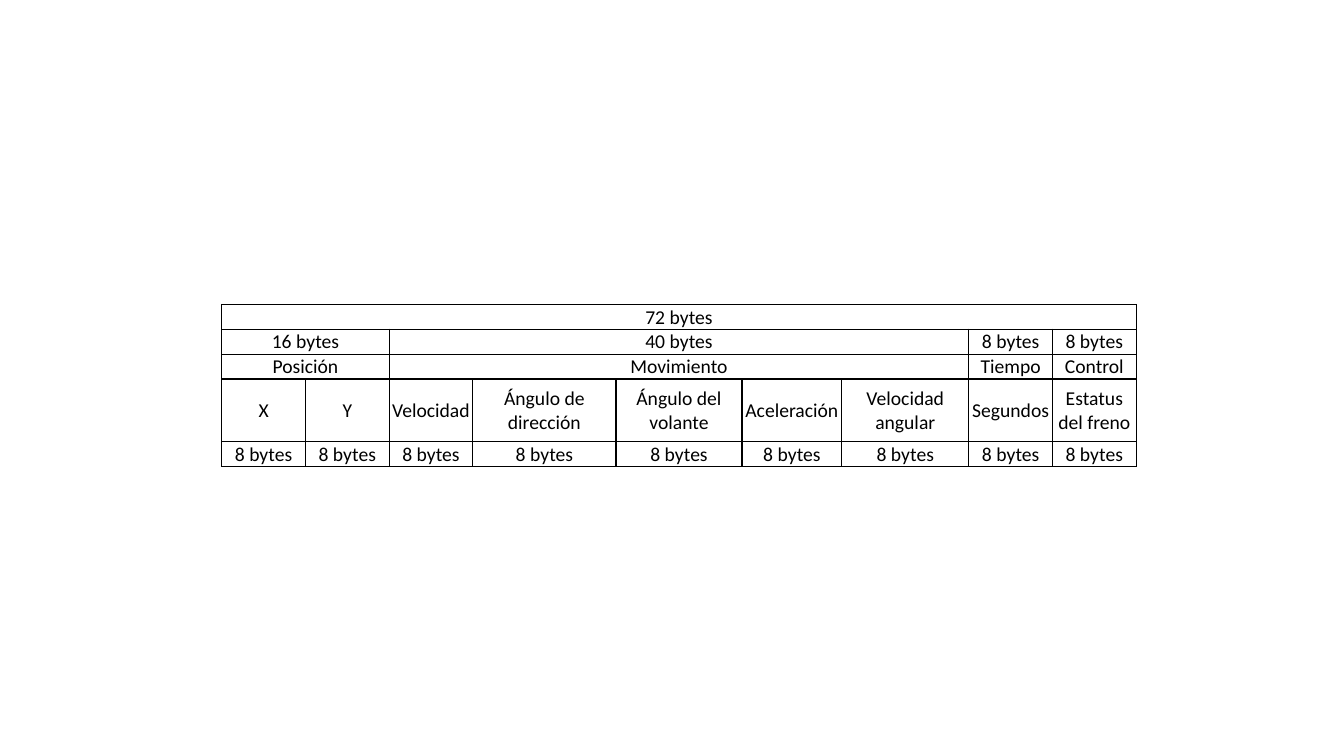
from lxml.etree import SubElement
from pptx import Presentation
from pptx.dml.color import RGBColor as RGB
from pptx.enum.text import MSO_ANCHOR as ANCHOR, PP_ALIGN as ALIGN
from pptx.oxml.ns import qn
from pptx.util import Inches, Pt

FIELD = "8 bytes"
# Each row lists (text, columns covered)
ROWS = [
    [("72 bytes", 9)],
    [("16 bytes", 2), ("40 bytes", 5), (FIELD, 1), (FIELD, 1)],
    [("Posición", 2), ("Movimiento", 5), ("Tiempo", 1), ("Control", 1)],
    [(name, 1) for name in (
        "X", "Y", "Velocidad", "Ángulo de dirección", "Ángulo del volante",
        "Aceleración", "Velocidad angular", "Segundos", "Estatus del freno")],
    [(FIELD, 1)] * 9,
]
COLORS = {"ink": "000000", "paper": "FFFFFF"}
COL_WIDTHS = [0.83, 0.83, 0.83, 1.42, 1.25, 0.99, 1.26, 0.83, 0.83]
ROW_HEIGHTS = [0.21, 0.21, 0.21, 0.62, 0.21]
LEFT, TOP = 2.2, 3.02
CELL_FORMAT = {
    "margin_left": Inches(0.01), "margin_right": Inches(0.01),
    "margin_top": Inches(0.01), "margin_bottom": 0,
    "vertical_anchor": ANCHOR.MIDDLE,
}
FONT_FORMAT = {"name": "Calibri", "size": Pt(14), "bold": False}


def set_format(obj, values):
    """Set each named attribute on obj."""
    for name, value in values.items():
        setattr(obj, name, value)


def add_borders(cell):
    """Draw a thin line on the four sides of a cell."""
    tc_pr = cell._tc.get_or_add_tcPr()
    for side in ("lnL", "lnR", "lnT", "lnB"):
        ln = SubElement(tc_pr, qn(f"a:{side}"), w=str(Pt(1)))
        fill = SubElement(ln, qn("a:solidFill"))
        SubElement(fill, qn("a:srgbClr"), val=COLORS["ink"])


def style_cell(cell):
    """Give a cell its margins, borders and fill."""
    set_format(cell, CELL_FORMAT)
    add_borders(cell)
    cell.fill.solid()
    cell.fill.fore_color.rgb = RGB.from_string(COLORS["paper"])


def write_cell(cell, text):
    """Write centred text into a cell."""
    p = cell.text_frame.paragraphs[0]
    p.alignment = ALIGN.CENTER
    r = p.add_run()
    r.text = text
    set_format(r.font, FONT_FORMAT)
    r.font.color.rgb = RGB.from_string(COLORS["ink"])


def add_message_table(slide):
    """Add the table of message fields and their sizes."""
    frame = slide.shapes.add_table(
        len(ROWS), len(COL_WIDTHS), Inches(LEFT), Inches(TOP),
        Inches(sum(COL_WIDTHS)), Inches(sum(ROW_HEIGHTS)))
    table = frame.table
    set_format(table, {"first_row": False, "horz_banding": False})
    for column, width in zip(table.columns, COL_WIDTHS):
        column.width = Inches(width)
    for row, height in zip(table.rows, ROW_HEIGHTS):
        row.height = Inches(height)
    for cell in table.iter_cells():
        style_cell(cell)
    for i, fields in enumerate(ROWS):
        col = 0
        for text, span in fields:
            cell = table.cell(i, col)
            if span > 1:
                cell.merge(table.cell(i, col + span - 1))
            if i < 2 and span > 1:
                cell.vertical_anchor = ANCHOR.BOTTOM
            write_cell(cell, text)
            col += span


prs = Presentation()
prs.slide_width, prs.slide_height = Inches(13.33), Inches(7.5)
add_message_table(prs.slides.add_slide(prs.slide_layouts[6]))
prs.save("out.pptx")
